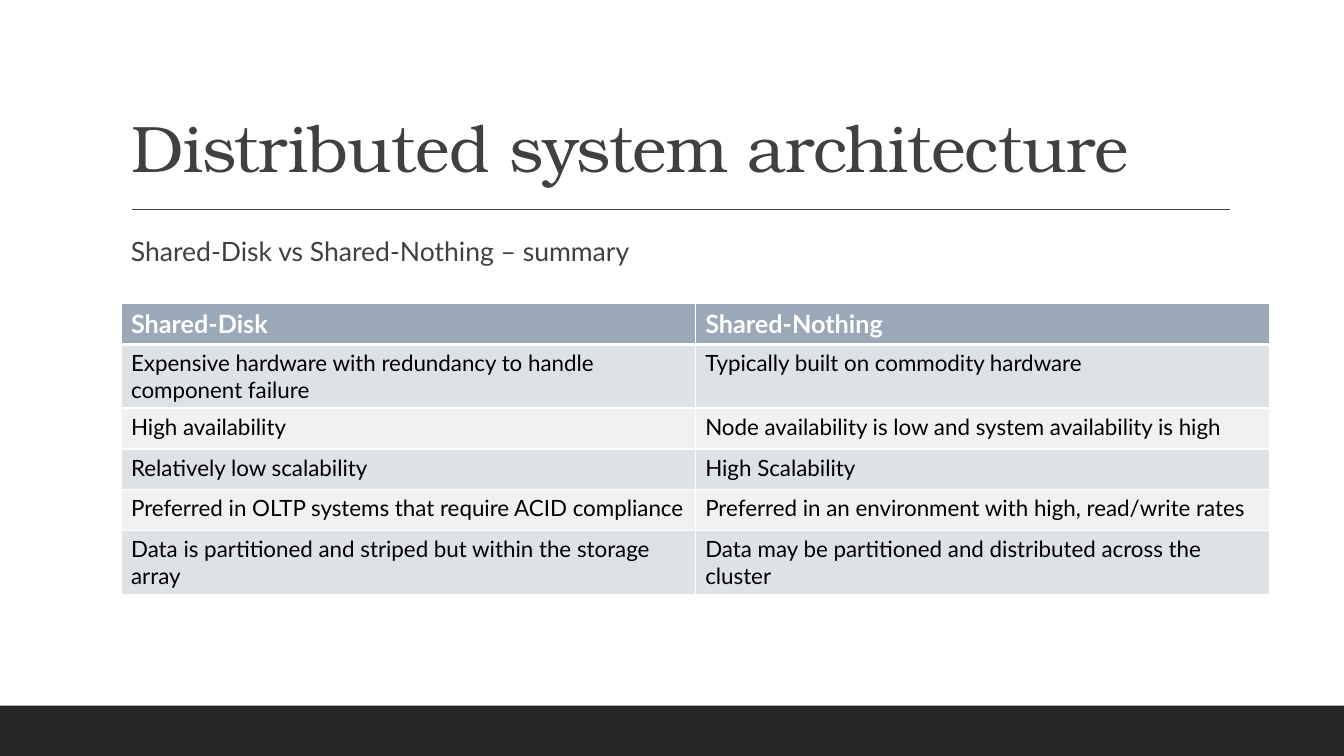
"""Build a slide that compares shared-disk and shared-nothing architectures."""
from dataclasses import dataclass

import lxml.etree
import pptx
import pptx.dml.color
import pptx.enum.shapes
import pptx.enum.text
import pptx.oxml.ns
import pptx.util

Cm = pptx.util.Cm
Pt = pptx.util.Pt
RGBColor = pptx.dml.color.RGBColor
qn = pptx.oxml.ns.qn

WHITE = RGBColor(0xFF, 0xFF, 0xFF)
BLACK = RGBColor(0x00, 0x00, 0x00)
DARK_GRAY = RGBColor(0x40, 0x40, 0x40)
FOOTER_COLOR = RGBColor(0x26, 0x26, 0x26)
HEADER_FILL = RGBColor(0x9B, 0xA8, 0xB7)
ODD_FILL = RGBColor(0xDE, 0xE1, 0xE6)
EVEN_FILL = RGBColor(0xEF, 0xF1, 0xF3)

TITLE_FONT = "TeX Gyre Bonum"
BODY_FONT = "Lato"
ROW_HEIGHT = Cm(1.03)


@dataclass(frozen=True)
class Box:
    left: float
    top: float
    width: float
    height: float

    def lengths(self) -> tuple[int, int, int, int]:
        return Cm(self.left), Cm(self.top), Cm(self.width), Cm(self.height)


@dataclass(frozen=True)
class Comparison:
    shared_disk: str
    shared_nothing: str


TITLE_BOX = Box(3.05, 0.79, 27.94, 4.04)
SUBTITLE_BOX = Box(3.05, 5.72, 15.72, 1.19)
TABLE_BOX = Box(3.05, 7.65, 28.94, 6.18)
FOOTER_BOX = Box(0, 17.78, 33.87, 1.27)

COMPARISONS = [
    Comparison("Shared-Disk", "Shared-Nothing"),
    Comparison("Expensive hardware with redundancy to handle component failure",
               "Typically built on commodity hardware"),
    Comparison("High availability", "Node availability is low and system availability is high"),
    Comparison("Relatively low scalability", "High Scalability"),
    Comparison("Preferred in OLTP systems that require ACID compliance",
               "Preferred in an environment with high, read/write rates"),
    Comparison("Data is partitioned and striped but within the storage array",
               "Data may be partitioned and distributed across the cluster"),
]


def write_text(text_frame, text: str, *, size: float, color: RGBColor, font: str = BODY_FONT,
               bold: bool = False, line_spacing: float = 1.0, space_before: float = 0,
               space_after: float = 0):
    """Write one left-aligned paragraph and return it."""
    paragraph = text_frame.paragraphs[0]
    paragraph.alignment = pptx.enum.text.PP_ALIGN.LEFT
    paragraph.line_spacing = line_spacing
    paragraph.space_before = Pt(space_before)
    paragraph.space_after = Pt(space_after)
    run = paragraph.add_run()
    run.text = text
    run.font.name = font
    run.font.size = Pt(size)
    run.font.bold = bold
    run.font.color.rgb = color
    return paragraph


def place(placeholder, box: Box, anchor):
    """Move a placeholder into its box and return its text frame."""
    placeholder.left, placeholder.top, placeholder.width, placeholder.height = box.lengths()
    text_frame = placeholder.text_frame
    text_frame.word_wrap = True
    text_frame.auto_size = pptx.enum.text.MSO_AUTO_SIZE.NONE
    text_frame.vertical_anchor = anchor
    return text_frame


def add_footer_bar(slide) -> None:
    """Draw the dark bar along the bottom edge."""
    bar = slide.shapes.add_shape(pptx.enum.shapes.MSO_SHAPE.RECTANGLE, *FOOTER_BOX.lengths())
    bar.shadow.inherit = False
    bar.fill.solid()
    bar.fill.fore_color.rgb = FOOTER_COLOR
    bar.line.fill.background()


def add_title_rule(slide) -> None:
    """Draw the thin line under the title."""
    rule = slide.shapes.add_connector(pptx.enum.shapes.MSO_CONNECTOR.STRAIGHT,
                                      Cm(3.33), Cm(5.28), Cm(31), Cm(5.28))
    rule.line.color.rgb = DARK_GRAY
    rule.line.width = Pt(1)
    lxml.etree.SubElement(rule._element.spPr, qn("a:effectLst"))


def add_headings(slide) -> None:
    """Fill the title and body placeholders."""
    anchors = pptx.enum.text.MSO_ANCHOR
    title_frame = place(slide.shapes.title, TITLE_BOX, anchors.BOTTOM)
    title = write_text(title_frame, "Distributed system architecture", size=47,
                       color=DARK_GRAY, font=TITLE_FONT, line_spacing=0.9)
    title.runs[0].font._element.set("spc", "-50")

    subtitle_frame = place(slide.placeholders[1], SUBTITLE_BOX, anchors.TOP)
    subtitle_frame.margin_left = subtitle_frame.margin_right = 0
    subtitle = write_text(subtitle_frame, "Shared-Disk vs Shared-Nothing – summary", size=19,
                          color=DARK_GRAY, line_spacing=1.1, space_before=12, space_after=2)
    properties = subtitle._p.get_or_add_pPr()
    properties.set("marL", str(Cm(0.25)))
    properties.set("indent", "0")
    lxml.etree.SubElement(properties, qn("a:buNone"))


def set_borders(cell, *, top: float, bottom: float) -> None:
    """Give a cell white borders, with widths in points."""
    properties = cell._tc.get_or_add_tcPr()
    for side, width in (("L", 1), ("R", 1), ("T", top), ("B", bottom)):
        line = lxml.etree.SubElement(properties, qn(f"a:ln{side}"), w=str(Pt(width)))
        fill = lxml.etree.SubElement(line, qn("a:solidFill"))
        lxml.etree.SubElement(fill, qn("a:srgbClr"), val=str(WHITE))


def add_comparison_table(slide) -> None:
    """Draw the two-column table with a header and banded rows."""
    table = slide.shapes.add_table(len(COMPARISONS), 2, *TABLE_BOX.lengths()).table
    for row_index, comparison in enumerate(COMPARISONS):
        is_header = row_index == 0
        table.rows[row_index].height = ROW_HEIGHT
        band_fill = ODD_FILL if row_index % 2 else EVEN_FILL
        texts = (comparison.shared_disk, comparison.shared_nothing)
        for column_index, text in enumerate(texts):
            cell = table.cell(row_index, column_index)
            set_borders(cell, top=3 if row_index == 1 else 1, bottom=3 if is_header else 1)
            cell.fill.solid()
            cell.fill.fore_color.rgb = HEADER_FILL if is_header else band_fill
            write_text(cell.text_frame, text, size=18 if is_header else 16, bold=is_header,
                       color=WHITE if is_header else BLACK)


def main() -> None:
    """Assemble and save the presentation."""
    presentation = pptx.Presentation()
    presentation.slide_width = Cm(33.87)
    presentation.slide_height = Cm(19.05)
    slide = presentation.slides.add_slide(presentation.slide_layouts[1])
    add_footer_bar(slide)
    add_title_rule(slide)
    add_headings(slide)
    add_comparison_table(slide)
    presentation.save("out.pptx")


if __name__ == "__main__":
    main()
